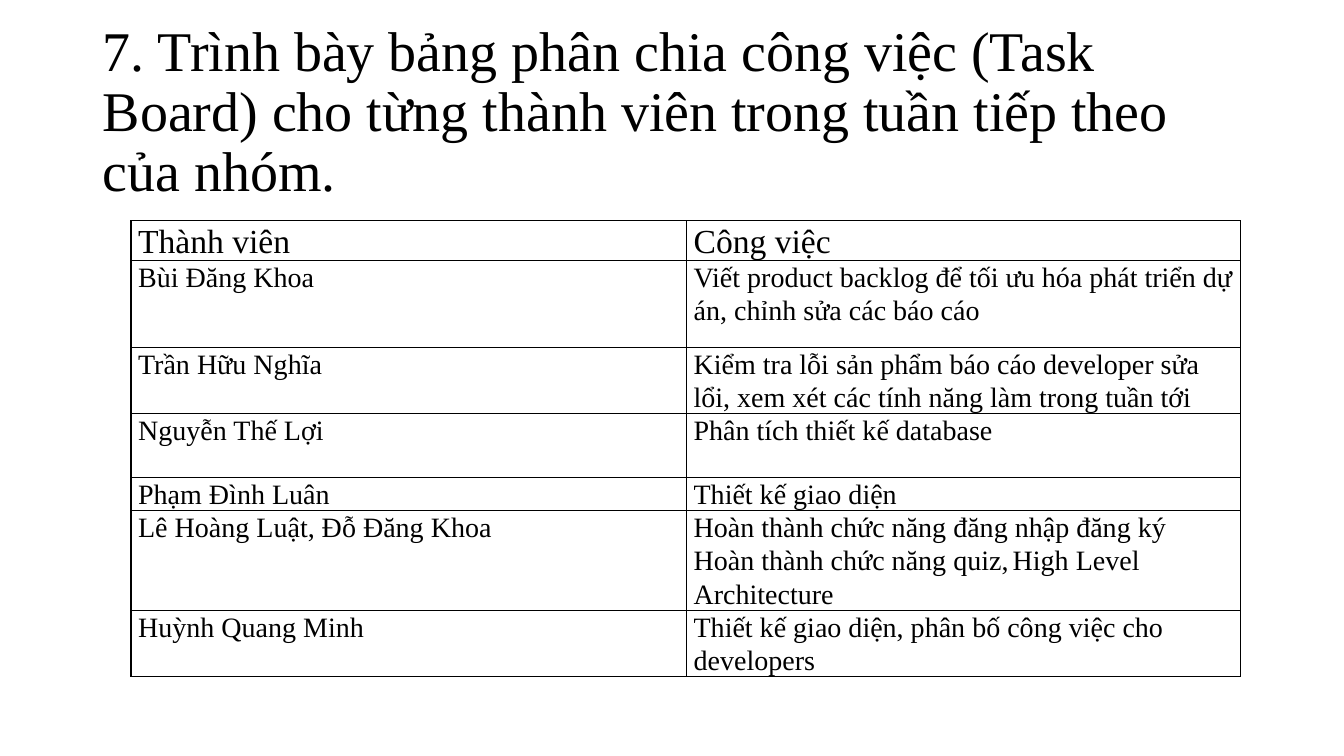
"""Builds the weekly task board slide."""
from dataclasses import dataclass

from pptx import Presentation
from pptx.dml.color import RGBColor
from pptx.enum.text import MSO_ANCHOR, MSO_AUTO_SIZE, PP_ALIGN
from pptx.oxml import parse_xml
from pptx.oxml.ns import nsdecls
from pptx.util import Inches, Pt


@dataclass(frozen=True)
class Theme:
    font: str = "Times New Roman"
    ink: str = "000000"
    title: int = 40
    header: int = 24
    body: int = 20
    gap: int = 11
    border: int = 1


THEME = Theme()
TITLE = ("7. Trình bày bảng phân chia công việc (Task Board) cho từng thành viên "
         "trong tuần tiếp theo của nhóm.")
TASKS = [
    ("Thành viên", "Công việc"),
    ("Bùi Đăng Khoa",
     "Viết product backlog để tối ưu hóa phát triển dự án, chỉnh sửa các báo cáo"),
    ("Trần Hữu Nghĩa",
     "Kiểm tra lỗi sản phẩm báo cáo developer sửa lổi, xem xét các tính năng làm trong tuần tới"),
    ("Nguyễn Thế Lợi", "Phân tích thiết kế database"),
    ("Phạm Đình Luân", "Thiết kế giao diện"),
    ("Lê Hoàng Luật, Đỗ Đăng Khoa",
     [("Hoàn thành chức năng đăng nhập đăng ký Hoàn thành chức năng quiz,", THEME.body),
      (" ", THEME.gap),
      ("High Level Architecture", THEME.body)]),
    ("Huỳnh Quang Minh", "Thiết kế giao diện, phân bố công việc cho developers"),
]
COL_WIDTHS = [5.51, 5.49]
ROW_HEIGHTS = [0.33, 0.86, 0.63, 0.63, 0.32, 0.86, 0.63]


class SlideBuilder:
    def __init__(self, slide, theme):
        self.slide = slide
        self.theme = theme

    def add_text(self, p, parts, spacing):
        p.alignment = PP_ALIGN.LEFT
        p.line_spacing = spacing
        for text, size in parts:
            r = p.add_run()
            r.text = text
            r.font.size = Pt(size)
            r.font.name = self.theme.font
            r.font.color.rgb = RGBColor.from_string(self.theme.ink)

    def title(self, text, left, top, width, height):
        sp = self.slide.shapes.title
        sp.left, sp.top = Inches(left), Inches(top)
        sp.width, sp.height = Inches(width), Inches(height)
        tf = sp.text_frame
        tf.word_wrap = True
        tf.auto_size = MSO_AUTO_SIZE.NONE
        tf.vertical_anchor = MSO_ANCHOR.MIDDLE
        self.add_text(tf.paragraphs[0], [(text, self.theme.title)], 0.9)

    def border(self, cell):
        tc_pr = cell._tc.get_or_add_tcPr()
        for side in "LRTB":
            tc_pr.append(parse_xml(
                f'<a:ln{side} {nsdecls("a")} w="{Pt(self.theme.border)}"><a:solidFill>'
                f'<a:srgbClr val="{self.theme.ink}"/></a:solidFill></a:ln{side}>'))

    def cell(self, cell, content, size):
        self.border(cell)
        cell.fill.background()
        cell.margin_left = cell.margin_right = Inches(0.07)
        cell.margin_top = cell.margin_bottom = 0
        parts = [(content, size)] if isinstance(content, str) else content
        self.add_text(cell.text_frame.paragraphs[0], parts, 1.07)

    def table(self, rows, left, top, widths, heights):
        table = self.slide.shapes.add_table(
            len(rows), len(widths), Inches(left), Inches(top),
            Inches(sum(widths)), Inches(sum(heights))).table
        table.first_row = table.horz_banding = False
        for column, width in zip(table.columns, widths):
            column.width = Inches(width)
        for i, (row, height) in enumerate(zip(rows, heights)):
            table.rows[i].height = Inches(height)
            size = self.theme.body if i else self.theme.header
            for j, content in enumerate(row):
                self.cell(table.cell(i, j), content, size)


def main():
    prs = Presentation()
    prs.slide_width, prs.slide_height = Inches(13.33), Inches(7.5)
    builder = SlideBuilder(prs.slides.add_slide(prs.slide_layouts[5]), THEME)
    builder.title(TITLE, 0.92, 0.4, 11.5, 1.45)
    builder.table(TASKS, 1.3, 2.19, COL_WIDTHS, ROW_HEIGHTS)
    prs.save("out.pptx")


if __name__ == "__main__":
    main()
